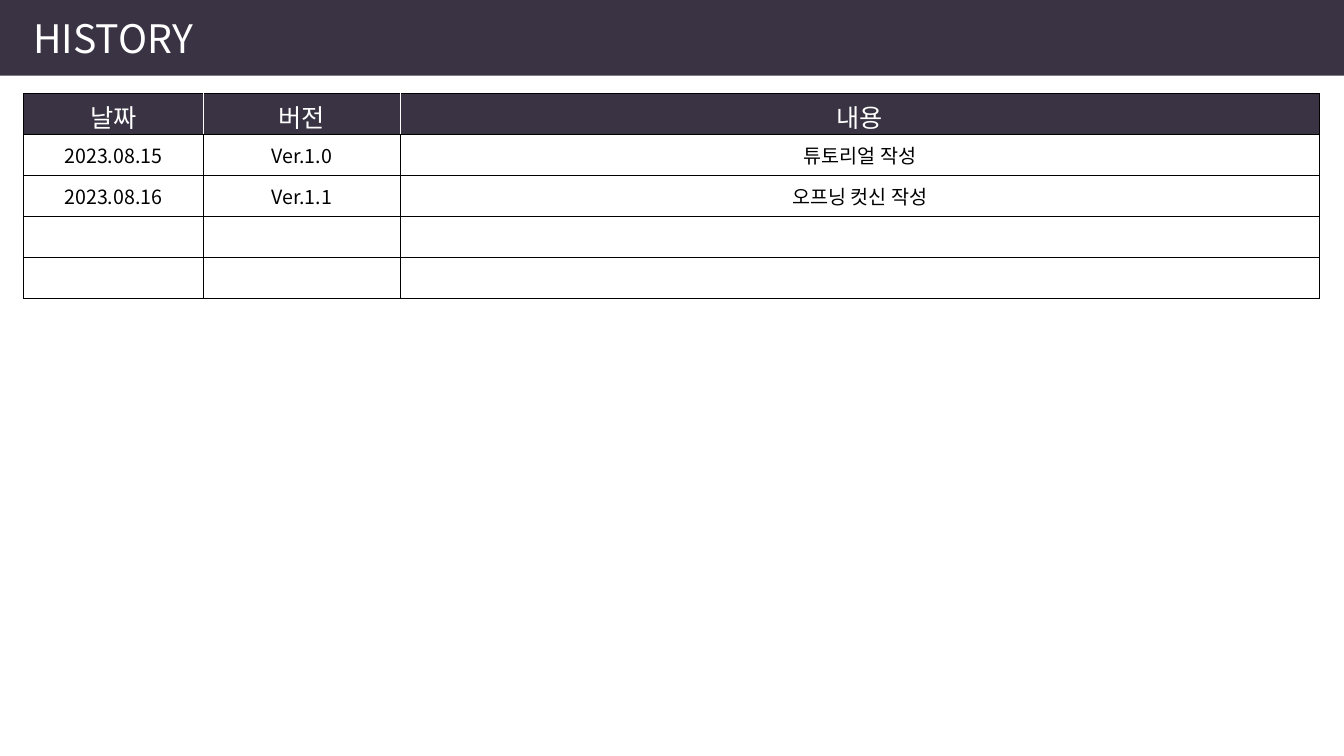
from lxml import etree
from pptx import Presentation
from pptx.dml.color import RGBColor
from pptx.enum import shapes, text
from pptx.oxml import ns
from pptx.util import Pt

PLUM = RGBColor(0x3A, 0x33, 0x43)
WHITE = RGBColor(0xFF, 0xFF, 0xFF)
BLACK = RGBColor(0x00, 0x00, 0x00)
FONT = "Noto Sans CJK KR"
COLUMN_WIDTHS = (128.5, 140.5, 656.9)
ROW_HEIGHT = 29.25
HISTORY = (
    ("날짜", "버전", "내용"),
    ("2023.08.15", "Ver.1.0", "튜토리얼 작성"),
    ("2023.08.16", "Ver.1.1", "오프닝 컷신 작성"),
    ("", "", ""),
    ("", "", ""),
)


def add_text(paragraph, wording, size, color):
    """Add one styled run with the same Latin and East Asian font."""
    run = paragraph.add_run()
    run.text = wording
    run.font.size = Pt(size)
    run.font.name = FONT
    run.font.color.rgb = color
    east_asian = etree.SubElement(run.font._element, ns.qn("a:ea"))
    east_asian.set("typeface", FONT)


def add_title_bar(slide, title):
    """Draw the dark band across the top and its title."""
    bar = slide.shapes.add_shape(
        shapes.MSO_SHAPE.RECTANGLE, 0, 0, Pt(960), Pt(54))
    bar.shadow.inherit = False
    bar.fill.solid()
    bar.fill.fore_color.rgb = PLUM
    bar.line.fill.background()
    box = slide.shapes.add_textbox(Pt(16.8), Pt(6.5), Pt(150), Pt(41))
    frame = box.text_frame
    frame.word_wrap = True
    add_text(frame.paragraphs[0], title, 28, WHITE)


def set_borders(cell, colors):
    """Give the cell one-point borders, ahead of its fill in the XML."""
    properties = cell._tc.get_or_add_tcPr()
    for index, (side, color) in enumerate(colors.items()):
        line = etree.Element(ns.qn(f"a:ln{side}"), w=str(Pt(1)))
        fill = etree.SubElement(line, ns.qn("a:solidFill"))
        etree.SubElement(fill, ns.qn("a:srgbClr"), val=str(color))
        properties.insert(index, line)


def fill_cell(cell, wording, is_header, is_first, is_last):
    """Style one cell and write its wording."""
    cell.vertical_anchor = text.MSO_ANCHOR.MIDDLE
    cell.fill.solid()
    cell.fill.fore_color.rgb = PLUM if is_header else WHITE
    divider = WHITE if is_header else BLACK
    set_borders(cell, {
        "L": BLACK if is_first else divider,
        "R": BLACK if is_last else divider,
        "T": BLACK,
        "B": BLACK,
    })
    if is_header:
        cell.margin_top, cell.margin_bottom = Pt(3.1), 0
    paragraph = cell.text_frame.paragraphs[0]
    paragraph.alignment = text.PP_ALIGN.CENTER
    if wording:
        add_text(paragraph, wording, 18 if is_header else 14,
                 WHITE if is_header else BLACK)


def add_history_table(slide, rows):
    """Add the version table with a header row."""
    frame = slide.shapes.add_table(
        len(rows), len(COLUMN_WIDTHS), Pt(16.8), Pt(67),
        Pt(sum(COLUMN_WIDTHS)), Pt(ROW_HEIGHT * len(rows)))
    table = frame.table
    table.horz_banding = False
    for column, width in zip(table.columns, COLUMN_WIDTHS):
        column.width = Pt(width)
    for row_index, wordings in enumerate(rows):
        table.rows[row_index].height = Pt(ROW_HEIGHT)
        for column_index, wording in enumerate(wordings):
            fill_cell(table.cell(row_index, column_index), wording,
                      row_index == 0, column_index == 0,
                      column_index == len(wordings) - 1)


def main():
    """Build and save the history slide."""
    presentation = Presentation()
    presentation.slide_width = Pt(960)
    presentation.slide_height = Pt(540)
    slide = presentation.slides.add_slide(presentation.slide_layouts[6])
    add_title_bar(slide, "HISTORY")
    add_history_table(slide, HISTORY)
    presentation.save("out.pptx")


if __name__ == "__main__":
    main()
